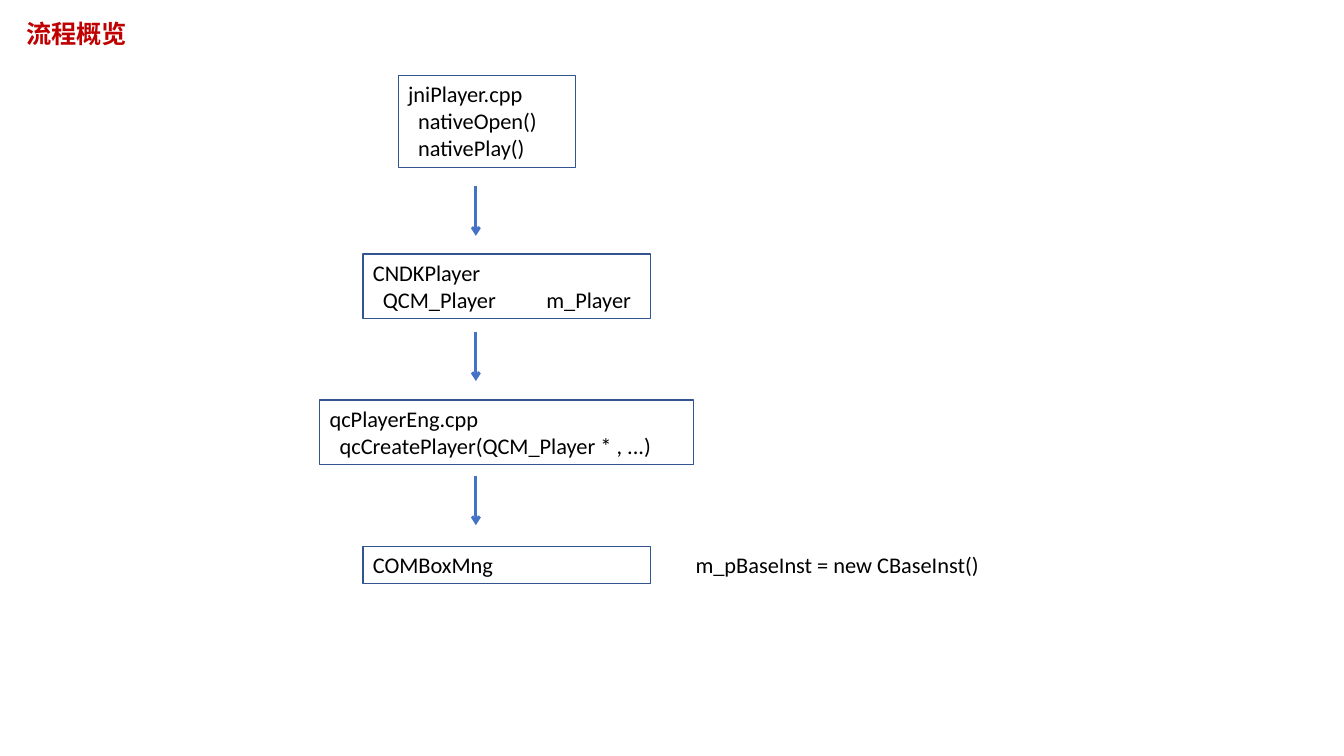
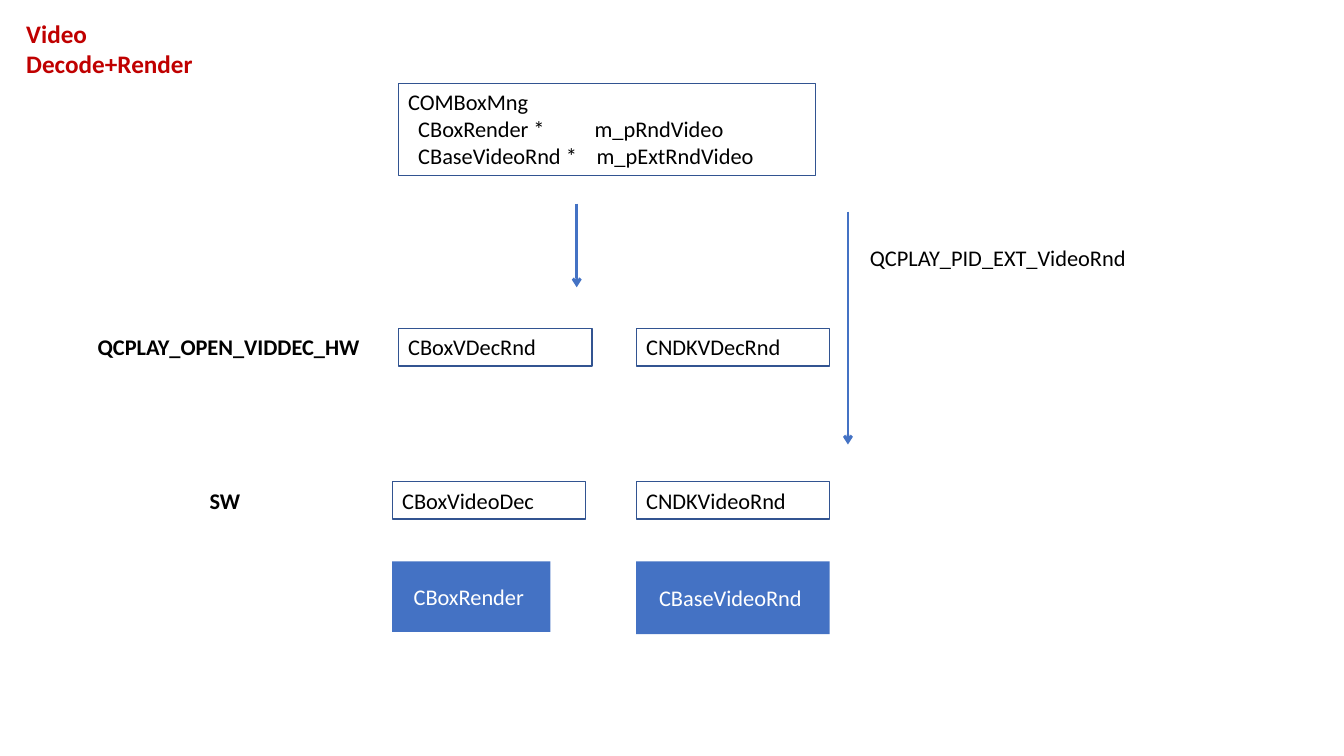
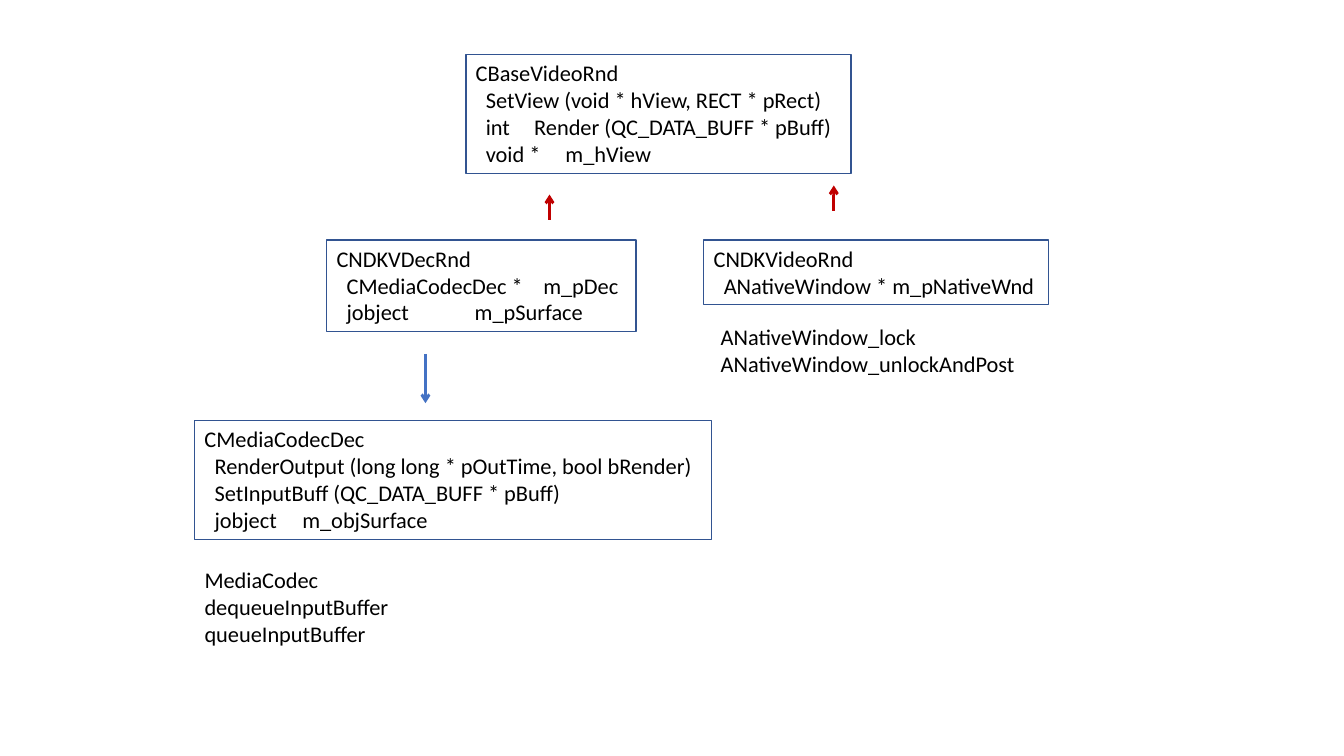
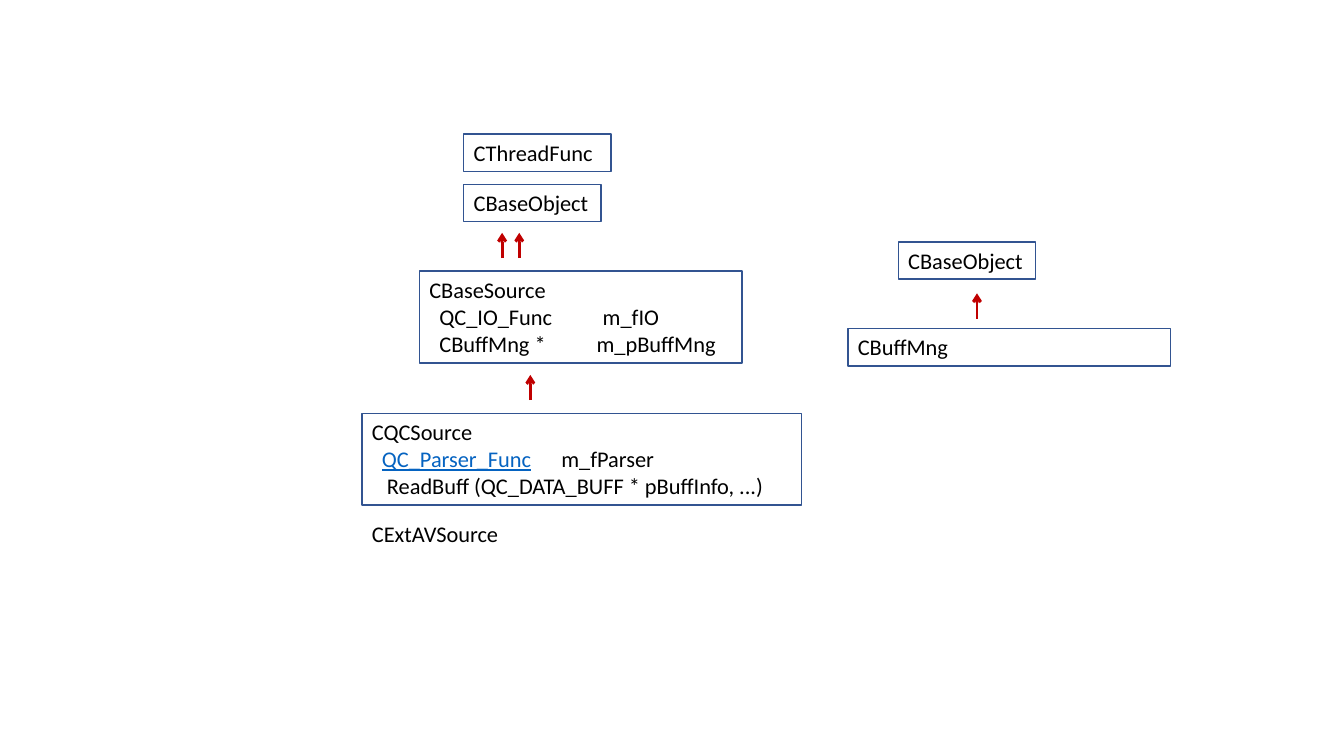
from dataclasses import dataclass

from lxml import etree
from pptx import Presentation
from pptx import util as u
from pptx.dml.color import RGBColor
from pptx.enum import shapes, text
from pptx.oxml import ns

TITLE_ONLY, BLANK = 5, 6
RED, BLUE, OUTLINE, LINK = "C00000", "4472C4", "325491", "0563C1"
BLACK, WHITE = "000000", "FFFFFF"


def rgb(value):
    return RGBColor.from_string(value)


def sub(parent, tag, **attributes):
    return etree.SubElement(parent, ns.qn(tag), attributes)


@dataclass
class Member:
    """An indented line of a class box; field starts at column inches."""
    name: str
    field: str = ""
    column: float = 0
    indent: float = 0.1
    link: bool = False


class Diagram:
    """Holds the shared style and the slide being drawn."""
    font = "Calibri"
    size = 16
    title_size = 18

    def __init__(self):
        self.deck = Presentation()
        self.deck.slide_width = u.Inches(13.33)
        self.deck.slide_height = u.Inches(7.5)
        self.page = None

    def new_page(self, layout=BLANK):
        self.page = self.deck.slides.add_slide(self.deck.slide_layouts[layout])

    def span(self, para, words, color=BLACK, size=None, bold=False, underline=False):
        span = para.add_run()
        span.text = words
        span.font.name = self.font
        span.font.size = u.Pt(size or self.size)
        span.font.bold = bold
        span.font.underline = underline
        span.font.color.rgb = rgb(color)

    def member(self, para, member):
        stops = [member.indent] + ([member.column] if member.field else [])
        tabs = sub(para._p.get_or_add_pPr(), "a:tabLst")
        for stop in stops:
            sub(tabs, "a:tab", pos=str(u.Inches(stop)), algn="l")
        self.span(para, "\t")
        self.span(para, member.name, LINK if member.link else BLACK,
                  underline=member.link)
        if member.field:
            self.span(para, "\t" + member.field)

    def fill_text(self, box, lines, align=text.PP_ALIGN.LEFT,
                  anchor=text.MSO_ANCHOR.TOP, wrap=True, **style):
        frame = box.text_frame
        frame.word_wrap = wrap
        frame.auto_size = text.MSO_AUTO_SIZE.NONE
        frame.vertical_anchor = anchor
        for index, line in enumerate(lines):
            para = frame.add_paragraph() if index else frame.paragraphs[0]
            para.alignment = align
            if isinstance(line, Member):
                self.member(para, line)
            else:
                self.span(para, line, **style)

    def height(self, lines):
        return u.Inches(0.1 + 0.27 * len(lines))

    def title(self, width, *lines):
        self.new_page(TITLE_ONLY)
        box = self.page.shapes.title
        box.left, box.top = u.Inches(0.16), u.Inches(0.13)
        box.width, box.height = u.Inches(width), u.Inches(0.1 + 0.3 * len(lines))
        self.fill_text(box, lines, color=RED, size=self.title_size, bold=True)

    def rectangle(self, left, top, width, height):
        box = self.page.shapes.add_shape(
            shapes.MSO_SHAPE.RECTANGLE, u.Inches(left), u.Inches(top),
            u.Inches(width), height)
        box.shadow.inherit = False
        return box

    def class_box(self, left, top, width, *lines):
        box = self.rectangle(left, top, width, self.height(lines))
        box.fill.background()
        box.line.color.rgb = rgb(OUTLINE)
        box.line.width = u.Pt(1)
        self.fill_text(box, lines)

    def block(self, left, top, width, height, words):
        box = self.rectangle(left, top, width, u.Inches(height))
        box.fill.solid()
        box.fill.fore_color.rgb = rgb(BLUE)
        box.line.fill.background()
        self.fill_text(box, [words], text.PP_ALIGN.CENTER,
                       text.MSO_ANCHOR.MIDDLE, color=WHITE)

    def label(self, left, top, width, *lines, bold=False, wrap=True):
        box = self.page.shapes.add_textbox(
            u.Inches(left), u.Inches(top), u.Inches(width), self.height(lines))
        self.fill_text(box, lines, wrap=wrap, bold=bold)

    def arrow(self, x, start, end, color=BLUE):
        arrow = self.page.shapes.add_connector(
            shapes.MSO_CONNECTOR.STRAIGHT, u.Inches(x), u.Inches(start),
            u.Inches(x), u.Inches(end))
        arrow.line.color.rgb = rgb(color)
        arrow.line.width = u.Pt(2)
        sub(arrow.line._get_or_add_ln(), "a:tailEnd", type="arrow")
        sub(arrow._element.spPr, "a:effectLst")

    def inherits(self, x, start):
        """Draw the short red arrow up to a base class."""
        self.arrow(x, start, start - 0.25, RED)


def overview(diagram):
    diagram.title(1.37, "流程概览")
    diagram.class_box(3.95, 0.75, 1.76, "jniPlayer.cpp",
                      Member("nativeOpen()"), Member("nativePlay()"))
    diagram.class_box(3.6, 2.52, 2.85, "CNDKPlayer",
                      Member("QCM_Player", "m_Player", 1.72))
    diagram.class_box(3.17, 3.97, 3.71, "qcPlayerEng.cpp",
                      Member("qcCreatePlayer(QCM_Player * , ...)"))
    diagram.class_box(3.6, 5.42, 2.85, "COMBoxMng")
    for start in (1.85, 3.29, 4.72):
        diagram.arrow(4.72, start, start + 0.49)
    diagram.label(6.8, 5.42, 3.02, "m_pBaseInst = new CBaseInst()", wrap=False)


def decode_and_render(diagram):
    diagram.title(1.91, "Video", "Decode+Render")
    diagram.class_box(3.95, 0.83, 4.14, "COMBoxMng",
                      Member("CBoxRender *", "m_pRndVideo", 1.85),
                      Member("CBaseVideoRnd *", "m_pExtRndVideo", 1.87))
    diagram.arrow(5.72, 2.02, 2.85)
    diagram.arrow(8.41, 2.1, 4.41)
    diagram.label(8.53, 2.37, 2.78, "QCPLAY_PID_EXT_VideoRnd")

    hardware, software, base = 3.26, 4.78, 5.57
    diagram.label(0.87, hardware, 2.89, "QCPLAY_OPEN_VIDDEC_HW", bold=True)
    diagram.label(1.98, software, 0.65, "SW", bold=True)
    for left, top, name in ((3.95, hardware, "CBoxVDecRnd"),
                            (6.31, hardware, "CNDKVDecRnd"),
                            (3.89, software, "CBoxVideoDec"),
                            (6.31, software, "CNDKVideoRnd")):
        diagram.class_box(left, top, 1.92, name)
    diagram.block(3.89, base, 1.57, 0.7, "CBoxRender ")
    diagram.block(6.31, base, 1.92, 0.72, "CBaseVideoRnd ")


def video_renderers(diagram):
    diagram.new_page()
    diagram.class_box(4.62, 0.54, 3.82, "CBaseVideoRnd",
                      Member("SetView (void * hView, RECT * pRect)"),
                      Member("int", "Render (QC_DATA_BUFF * pBuff)", 0.58),
                      Member("void *", "m_hView", 0.89))
    diagram.inherits(5.45, 2.18)
    diagram.inherits(8.27, 2.09)
    diagram.class_box(3.24, 2.38, 3.07, "CNDKVDecRnd",
                      Member("CMediaCodecDec *", "m_pDec", 2.05),
                      Member("jobject", "m_pSurface", 1.37))
    diagram.class_box(6.98, 2.38, 3.42, "CNDKVideoRnd",
                      Member("ANativeWindow * m_pNativeWnd"))
    diagram.label(7.05, 3.16, 3.17, "ANativeWindow_lock",
                  "ANativeWindow_unlockAndPost")
    diagram.arrow(4.22, 3.51, 4)
    diagram.class_box(1.93, 4.17, 5.13, "CMediaCodecDec",
                      Member("RenderOutput (long long * pOutTime, bool bRender)"),
                      Member("SetInputBuff (QC_DATA_BUFF * pBuff)"),
                      Member("jobject", "m_objSurface", 0.97))
    diagram.label(1.93, 5.57, 2.21, "MediaCodec", "dequeueInputBuffer",
                  "queueInputBuffer")


def sources(diagram):
    diagram.new_page()
    diagram.class_box(4.6, 1.33, 1.46, "CThreadFunc")
    diagram.class_box(4.6, 1.83, 1.36, "CBaseObject")
    diagram.class_box(4.16, 2.69, 3.2, "CBaseSource",
                      Member("QC_IO_Func", "m_fIO", 1.72),
                      Member("CBuffMng *", "m_pBuffMng", 1.66))
    diagram.class_box(3.59, 4.1, 4.36, "CQCSource",
                      Member("QC_Parser_Func", "m_fParser", 1.88, link=True),
                      Member("ReadBuff (QC_DATA_BUFF * pBuffInfo, ...)",
                             indent=0.15))
    diagram.label(3.59, 5.11, 1.67, "CExtAVSource")
    diagram.class_box(8.91, 2.4, 1.36, "CBaseObject")
    diagram.class_box(8.41, 3.26, 3.2, "CBuffMng")
    for x, start in ((4.98, 2.56), (5.15, 2.56), (5.26, 3.97), (9.69, 3.16)):
        diagram.inherits(x, start)


def main():
    diagram = Diagram()
    for draw in (overview, decode_and_render, video_renderers, sources):
        draw(diagram)
    diagram.deck.save("out.pptx")


if __name__ == "__main__":
    main()
